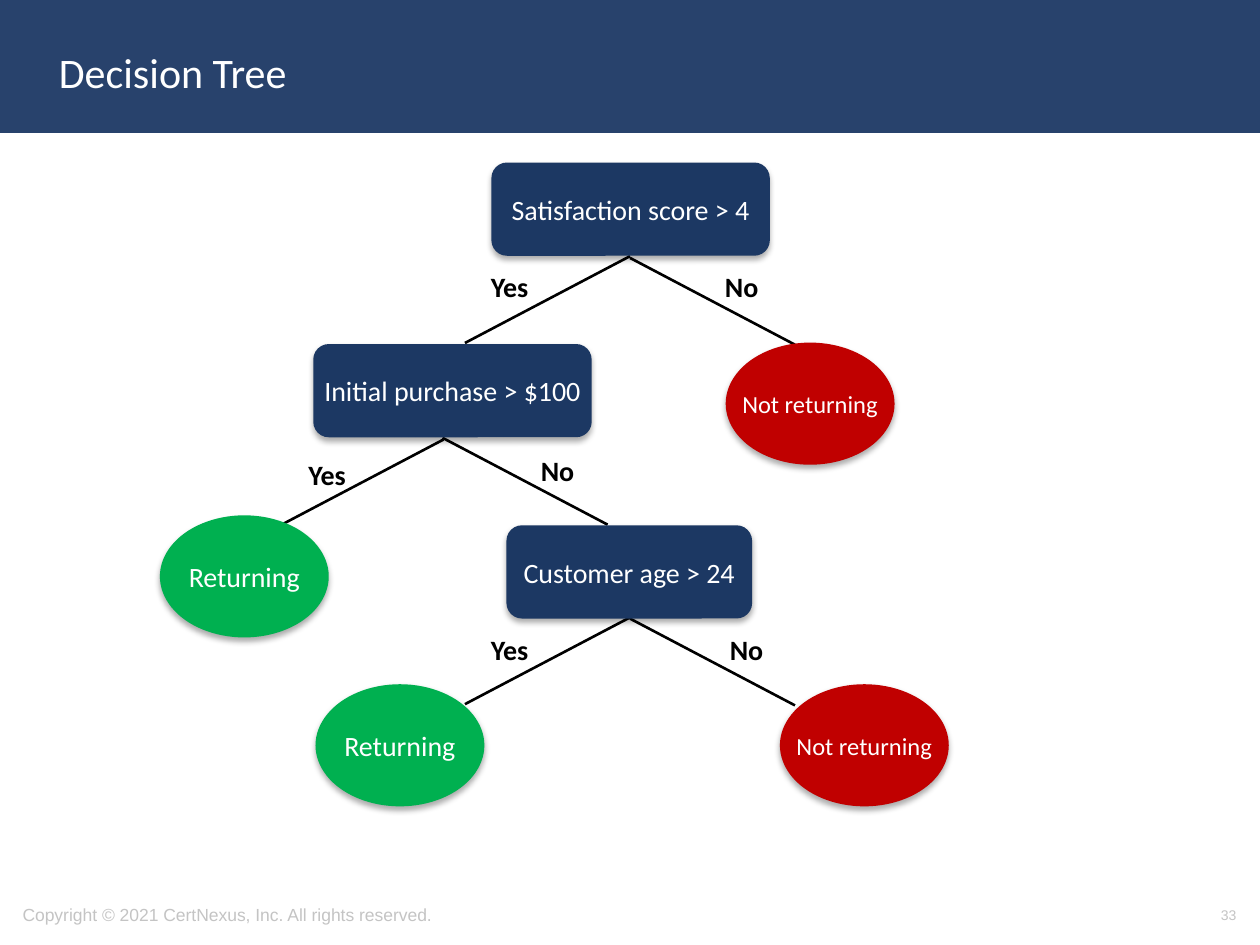
from dataclasses import dataclass

from lxml import etree
from pptx import Presentation
from pptx.dml.color import RGBColor
from pptx.enum.shapes import MSO_CONNECTOR as Connector, MSO_SHAPE as Shape
from pptx.enum.text import MSO_ANCHOR as Anchor, PP_ALIGN as Align
from pptx.oxml import parse_xml
from pptx.oxml.ns import nsdecls, qn
from pptx.util import Pt

HEADER_BLUE = RGBColor(0x28, 0x42, 0x6C)
NODE_BLUE = RGBColor(0x1C, 0x38, 0x63)
GREEN = RGBColor(0x00, 0xB0, 0x50)
RED = RGBColor(0xC0, 0x00, 0x00)
WHITE = RGBColor(0xFF, 0xFF, 0xFF)
BLACK = RGBColor(0x00, 0x00, 0x00)
GREY = RGBColor(0xC4, 0xC4, 0xC4)

# Shared sizes, in points
QUESTION_HEIGHT = 53.3
LEAF_WIDTH, LEAF_HEIGHT = 96.5, 69.8
BRANCH_RUN, BRANCH_DROP = 94.3, 49.6
LABEL_WIDTH, LABEL_HEIGHT = 43.9, 26.6

# Text formats
TITLE = {"name": "Calibri", "size": Pt(24), "color": WHITE}
NODE_TEXT = {"name": "Calibri", "size": Pt(16), "color": WHITE}
SMALL_NODE_TEXT = NODE_TEXT | {"size": Pt(14)}
LABEL = {"name": "Calibri", "size": Pt(16), "bold": True, "color": BLACK}
FOOTER = {"name": "Arial", "size": Pt(10), "color": GREY}
PAGE_NUMBER = FOOTER | {"size": Pt(8)}


@dataclass
class Node:
    text: str
    left: float
    top: float
    width: float = LEAF_WIDTH
    height: float = LEAF_HEIGHT
    kind: Shape = Shape.OVAL
    fill: RGBColor = GREEN
    text_format: dict | None = None


@dataclass
class Edge:
    x: float
    y: float
    direction: int
    label: str
    label_left: float
    label_top: float


def question(text: str, left: float, top: float, width: float = 159.1) -> Node:
    return Node(text, left, top, width, QUESTION_HEIGHT, Shape.ROUNDED_RECTANGLE, NODE_BLUE)


def not_returning(left: float, top: float) -> Node:
    return Node("Not returning", left, top, fill=RED, text_format=SMALL_NODE_TEXT)


NODES = [
    question("Satisfaction score > 4", 280.8, 92.9),
    question("Initial purchase > $100", 179, 196.6),
    question("Customer age > 24", 289.4, 300.2, 140.4),
    Node("Returning", 91.4, 294.5),
    Node("Returning", 180.3, 391),
    not_returning(414.7, 195.8),
    not_returning(445.7, 391),
]

EDGES = [
    Edge(360, 146.4, -1, "Yes", 269.3, 150.5),
    Edge(360, 147.4, 1, "No", 401.8, 150.5),
    Edge(253.4, 251.2, -1, "Yes", 164.9, 257.8),
    Edge(252.9, 250.2, 1, "No", 296.6, 255.6),
    Edge(360, 352.8, -1, "Yes", 269.3, 357.8),
    Edge(360, 353.5, 1, "No", 404.6, 357.8),
]


def write_text(shape, text: str, text_format: dict, align: Align) -> None:
    frame = shape.text_frame
    frame.vertical_anchor = Anchor.MIDDLE
    paragraph = frame.paragraphs[0]
    paragraph.text, paragraph.alignment = text, align
    font = paragraph.runs[0].font
    for name, value in text_format.items():
        if name == "color":
            font.color.rgb = value
        else:
            setattr(font, name, value)


def add_text(slide, text: str, left: float, top: float, width: float, height: float,
             text_format: dict, align: Align = Align.LEFT) -> None:
    box = slide.shapes.add_textbox(Pt(left), Pt(top), Pt(width), Pt(height))
    box.text_frame.word_wrap = True
    write_text(box, text, text_format, align)


def add_soft_shadow(shape) -> None:
    shape.shadow.inherit = False
    effects = shape._element.spPr.find(qn("a:effectLst"))
    effects.append(parse_xml(
        f'<a:outerShdw {nsdecls("a")} blurRad="{Pt(3.5)}" dist="{Pt(2.2)}" '
        'dir="5400000" rotWithShape="0"><a:srgbClr val="000000">'
        '<a:alpha val="32000"/></a:srgbClr></a:outerShdw>'))


def add_node(slide, node: Node) -> None:
    shape = slide.shapes.add_shape(node.kind, Pt(node.left), Pt(node.top),
                                   Pt(node.width), Pt(node.height))
    shape.fill.solid()
    shape.fill.fore_color.rgb = node.fill
    shape.line.fill.background()
    add_soft_shadow(shape)
    frame = shape.text_frame
    frame.word_wrap = False
    for side in ("left", "right", "top", "bottom"):
        setattr(frame, f"margin_{side}", 0)
    write_text(shape, node.text, node.text_format or NODE_TEXT, Align.CENTER)


def add_edge(slide, edge: Edge) -> None:
    line = slide.shapes.add_connector(
        Connector.STRAIGHT, Pt(edge.x), Pt(edge.y),
        Pt(edge.x + edge.direction * BRANCH_RUN), Pt(edge.y + BRANCH_DROP))
    line.line.color.rgb = BLACK
    line.line.width = Pt(1.5)
    etree.SubElement(line._element.spPr, qn("a:effectLst"))
    add_text(slide, edge.label, edge.label_left, edge.label_top,
             LABEL_WIDTH, LABEL_HEIGHT, LABEL, Align.CENTER)


def add_header(slide) -> None:
    band = slide.shapes.add_shape(Shape.RECTANGLE, 0, 0, Pt(720), Pt(74.9))
    band.shadow.inherit = False
    band.fill.solid()
    band.fill.fore_color.rgb = band.line.color.rgb = HEADER_BLUE
    band.line.width = Pt(2)
    add_text(slide, "Decision Tree", 26.6, 7.9, 620.6, 66.2, TITLE)


def main() -> None:
    presentation = Presentation()
    presentation.slide_width, presentation.slide_height = Pt(720), Pt(540)
    slide = presentation.slides.add_slide(presentation.slide_layouts[6])

    # Header and footer
    add_header(slide)
    add_text(slide, "Copyright © 2021 CertNexus, Inc. All rights reserved.",
             5.8, 508.3, 379.4, 28.8, FOOTER)
    add_text(slide, "33", 545.8, 508.3, 167.8, 28.8, PAGE_NUMBER, Align.RIGHT)

    # Tree: edges lie behind the nodes
    for edge in EDGES:
        add_edge(slide, edge)
    for node in NODES:
        add_node(slide, node)

    presentation.save("out.pptx")


if __name__ == "__main__":
    main()
